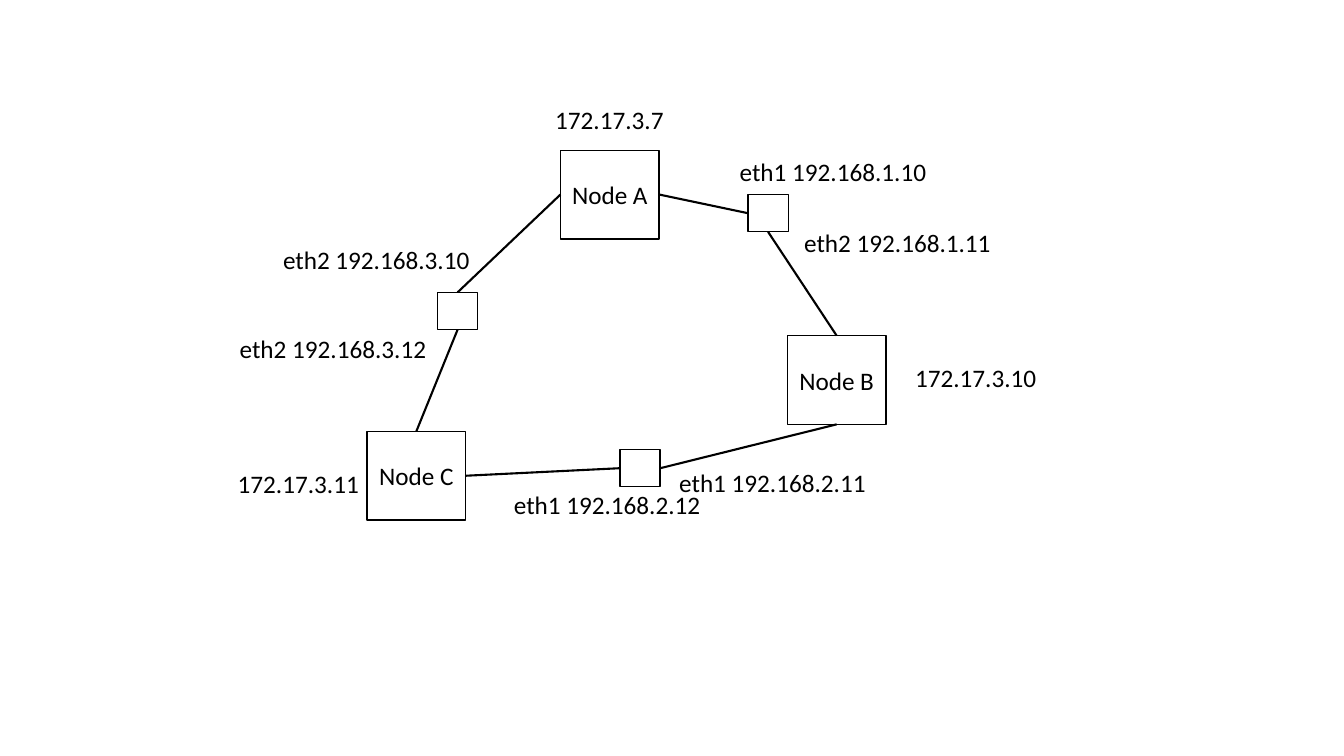
"""Draw a ring of three nodes joined through small link boxes."""
from dataclasses import dataclass

from lxml.etree import SubElement
from pptx import Presentation
from pptx.dml.color import RGBColor
from pptx.enum.shapes import MSO_CONNECTOR as Conn, MSO_SHAPE as Kind
from pptx.enum.text import MSO_ANCHOR as Anchor, MSO_AUTO_SIZE as Fit, PP_ALIGN as Align
from pptx.oxml.ns import qn
from pptx.shapes.autoshape import Shape
from pptx.slide import Slide
from pptx.text.text import TextFrame
from pptx.util import Inches, Pt

BLACK = RGBColor(0, 0, 0)
WHITE = RGBColor(255, 255, 255)
CELL = Inches(0.1)
COLS, ROWS = 133.33, 75
FONT = {"name": "Calibri", "size": Pt(18)}
SNUG = dict.fromkeys(("margin_left", "margin_right"), 0)
CENTRE = {"word_wrap": True, "vertical_anchor": Anchor.MIDDLE, **SNUG}
LOOSE = {"word_wrap": False, "auto_size": Fit.SHAPE_TO_FIT_TEXT}
TOP, LEFT, BOTTOM, RIGHT = range(4)
NODE = (9.8, 8.8)
PORT = (4, 3.7)
LONG, MID, SHORT = 20.7, 14.2, 12.9
HIGH = 4


@dataclass(frozen=True)
class Box:
    """A square at a grid column and row."""
    key: str
    col: float
    row: float
    size: tuple[float, float]
    text: str = ""


@dataclass(frozen=True)
class Link:
    """A line from a side of one box to a side of another."""
    start: str
    out: int
    end: str
    into: int


@dataclass(frozen=True)
class Label:
    """An address at a grid column and row."""
    text: str
    col: float
    row: float
    wide: float


BOXES = [
    Box("A", 55.6, 14.9, NODE, "Node A"),
    Box("C", 36.4, 42.8, NODE, "Node C"),
    Box("B", 78.1, 33.3, NODE, "Node B"),
    Box("AC", 43.4, 29, PORT),
    Box("BC", 61.5, 44.6, PORT),
    Box("AB", 74.2, 19.3, PORT),
]
LINKS = [
    Link("AC", TOP, "A", LEFT),
    Link("C", TOP, "AC", BOTTOM),
    Link("AB", LEFT, "A", RIGHT),
    Link("B", TOP, "AB", BOTTOM),
    Link("C", RIGHT, "BC", LEFT),
    Link("BC", RIGHT, "B", BOTTOM),
]
LABELS = [
    Label("eth2 192.168.3.10", 27.1, 23.7, LONG),
    Label("eth2 192.168.3.12", 22.8, 32.6, LONG),
    Label("eth1 192.168.1.10", 72.4, 15, LONG),
    Label("eth2 192.168.1.11", 78.8, 22.1, LONG),
    Label("eth1 192.168.2.11", 66.4, 45.9, LONG),
    Label("eth1 192.168.2.12", 50, 48.1, LONG),
    Label("172.17.3.10", 89.8, 35.5, MID),
    Label("172.17.3.7", 54.1, 9.9, SHORT),
    Label("172.17.3.11", 22.6, 46, MID),
]


def grid(*spans: float) -> list[int]:
    """Turn grid spans into lengths."""
    return [round(span * CELL) for span in spans]


def format(item: object, values: dict) -> None:
    """Set each named attribute of an item."""
    for name, value in values.items():
        setattr(item, name, value)


def write(frame: TextFrame, text: str, values: dict, align: Align) -> None:
    """Fill a text frame with one line of text."""
    format(frame, values)
    line = frame.paragraphs[0]
    line.alignment = align
    run = line.add_run()
    run.text = text
    format(run.font, FONT)
    run.font.color.rgb = BLACK


def draw_box(slide: Slide, box: Box) -> Shape:
    """Draw a white box with a thin black edge."""
    shape = slide.shapes.add_shape(Kind.RECTANGLE, *grid(box.col, box.row, *box.size))
    shape.shadow.inherit = False
    shape.fill.solid()
    shape.fill.fore_color.rgb = WHITE
    shape.line.color.rgb = BLACK
    shape.line.width = Pt(1)
    if box.text:
        write(shape.text_frame, box.text, CENTRE, Align.CENTER)
    return shape


def draw_link(slide: Slide, link: Link, shapes: dict[str, Shape]) -> None:
    """Glue a straight line to two boxes."""
    wire = slide.shapes.add_connector(Conn.STRAIGHT, 0, 0, 0, 0)
    wire.begin_connect(shapes[link.start], link.out)
    wire.end_connect(shapes[link.end], link.into)
    wire.line.color.rgb = BLACK
    wire.line.width = Pt(1.5)
    SubElement(wire.element.spPr, qn("a:effectLst"))


def draw_label(slide: Slide, label: Label) -> None:
    """Place an address beside its box."""
    area = grid(label.col, label.row, label.wide, HIGH)
    text = slide.shapes.add_textbox(*area)
    write(text.text_frame, label.text, LOOSE, Align.LEFT)


def main() -> None:
    """Build and save the slide."""
    deck = Presentation()
    deck.slide_width, deck.slide_height = grid(COLS, ROWS)
    slide = deck.slides.add_slide(deck.slide_layouts[6])
    shapes = {box.key: draw_box(slide, box) for box in BOXES}
    for link in LINKS:
        draw_link(slide, link, shapes)
    for label in LABELS:
        draw_label(slide, label)
    deck.save("out.pptx")


if __name__ == "__main__":
    main()
